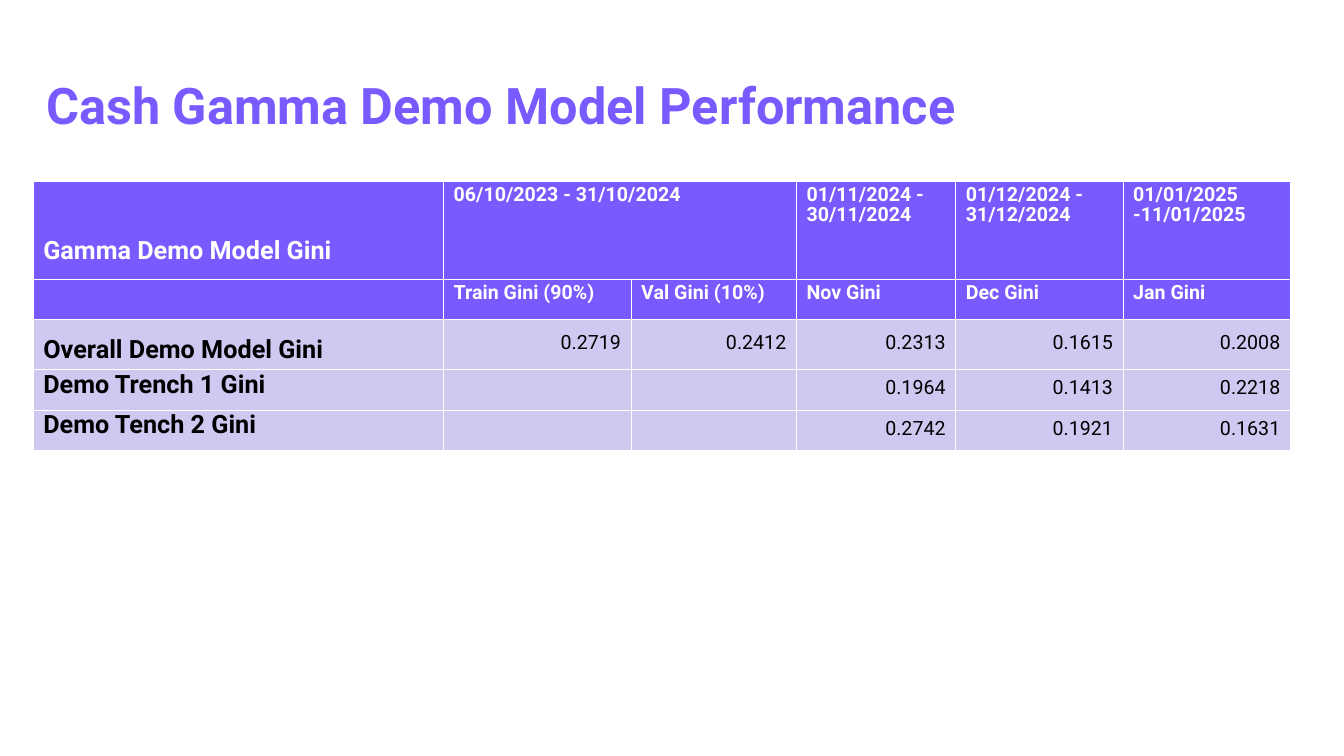
from lxml.etree import SubElement
from pptx import Presentation
from pptx.dml.color import RGBColor
from pptx.enum.text import MSO_ANCHOR, PP_ALIGN
from pptx.oxml.ns import qn
from pptx.util import Inches, Pt

TITLE = "Cash Gamma Demo Model Performance"
ROWS = [
    ["Gamma Demo Model Gini", "06/10/2023 - 31/10/2024", "",
     "01/11/2024 - 30/11/2024", "01/12/2024 - 31/12/2024", "01/01/2025 -11/01/2025"],
    ["", "Train Gini (90%)", "Val Gini (10%)", "Nov Gini", "Dec Gini", "Jan Gini"],
    ["Overall Demo Model Gini", "0.2719", "0.2412", "0.2313", "0.1615", "0.2008"],
    ["Demo Trench 1 Gini", "", "", "0.1964", "0.1413", "0.2218"],
    ["Demo Tench 2 Gini", "", "", "0.2742", "0.1921", "0.1631"],
]
COL_WIDTHS = [4.07, 1.86, 1.64, 1.58, 1.66, 1.66]
ROW_HEIGHTS = [0.97, 0.39, 0.49, 0.38, 0.38]
HEADER_ROWS = 2
LABEL_TOP_MARGINS = {0: 0.64, 2: 0.25}
PURPLE, LILAC, WHITE, BLACK = "785AFF", "D0C8F1", "FFFFFF", "000000"


def rgb(color):
    return RGBColor.from_string(color)


def add_run(p, text, color, **font):
    r = p.add_run()
    r.text = text
    r.font.color.rgb = rgb(color)
    for name, value in {"name": "Roboto", **font}.items():
        setattr(r.font, name, value)


def set_borders(cell, color, width):
    tc_pr = cell._tc.get_or_add_tcPr()
    for i, side in enumerate(("a:lnL", "a:lnR", "a:lnT", "a:lnB")):
        ln = SubElement(tc_pr, qn(side), w=str(Pt(width)))
        SubElement(SubElement(ln, qn("a:solidFill")), qn("a:srgbClr"), val=color)
        tc_pr.insert(i, ln)


def fill_cell(cell, text, row, col):
    header, label = row < HEADER_ROWS, col == 0
    cell.fill.solid()
    cell.fill.fore_color.rgb = rgb(PURPLE if header else LILAC)
    set_borders(cell, WHITE, 0.5)
    cell.vertical_anchor = MSO_ANCHOR.TOP if header else MSO_ANCHOR.MIDDLE
    if label and row in LABEL_TOP_MARGINS:
        cell.margin_top = Inches(LABEL_TOP_MARGINS[row])
    if text:
        p = cell.text_frame.paragraphs[0]
        p.line_spacing = Pt(14.2)
        p.alignment = PP_ALIGN.LEFT if header or label else PP_ALIGN.RIGHT
        add_run(p, text, WHITE if header else BLACK,
                size=Pt(18 if label else 14), bold=header or label)


prs = Presentation()
prs.slide_width, prs.slide_height = Inches(13.33), Inches(7.5)
s = prs.slides.add_slide(prs.slide_layouts[6])

title = s.shapes.add_textbox(Inches(0.36), Inches(0.69), Inches(9.83), Inches(0.76))
tf = title.text_frame
tf.word_wrap = True
tf.vertical_anchor = MSO_ANCHOR.MIDDLE
tf.paragraphs[0].line_spacing = 0.9
add_run(tf.paragraphs[0], TITLE, PURPLE, size=Pt(36), bold=True)

table = s.shapes.add_table(
    len(ROWS), len(COL_WIDTHS), Inches(0.33), Inches(1.8),
    Inches(sum(COL_WIDTHS)), Inches(sum(ROW_HEIGHTS))).table
for column, width in zip(table.columns, COL_WIDTHS):
    column.width = Inches(width)
for table_row, height in zip(table.rows, ROW_HEIGHTS):
    table_row.height = Inches(height)
for row, texts in enumerate(ROWS):
    for col, text in enumerate(texts):
        fill_cell(table.cell(row, col), text, row, col)
table.cell(0, 1).merge(table.cell(0, 2))

prs.save("out.pptx")
